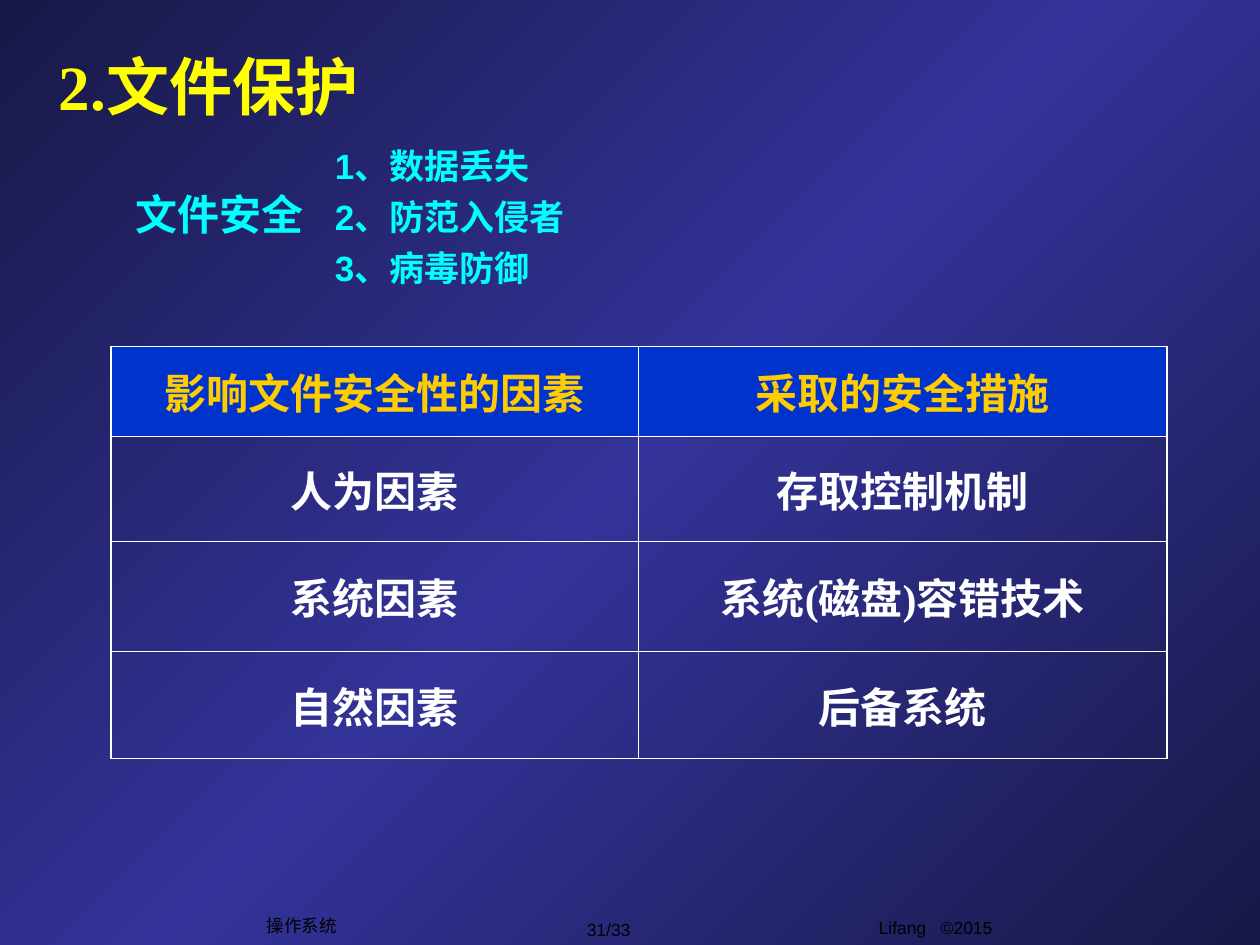
"""Build the file protection slide with a safety list and a measures table."""
import copy

import pptx
import pptx.dml.color
import pptx.enum.text
import pptx.oxml
import pptx.oxml.ns
import pptx.util
from pptx.util import Inches

COLORS = {"navy": "181847", "indigo": "333399", "blue": "0033CC", "gold": "FFCC00",
          "white": "FFFFFF", "yellow": "FFFF00", "cyan": "00FFFF", "black": "000000"}
ALIGN = pptx.enum.text.PP_ALIGN
ANCHOR = pptx.enum.text.MSO_ANCHOR
qn = pptx.oxml.ns.qn


def rgb(name):
    return pptx.dml.color.RGBColor.from_string(COLORS[name])


def add_run(p, text, font, size, color, bold=True):
    r = p.add_run()
    r.text = text
    r.font.name = font
    r.font.size = pptx.util.Pt(size)
    r.font.bold = bold
    r.font.color.rgb = rgb(color)
    ea = pptx.oxml.parse_xml(f'<a:ea {pptx.oxml.ns.nsdecls("a")} typeface="Noto Sans CJK SC"/>')
    r.font._element.find(qn("a:latin")).addnext(ea)


prs = pptx.Presentation()
prs.slide_width, prs.slide_height = Inches(10), Inches(7.5)
s = prs.slides.add_slide(prs.slide_layouts[6])

fill = s.background.fill
fill.gradient()
fill.gradient_angle = 315
stops = s.element.find(".//" + qn("a:gsLst"))
stops.append(copy.deepcopy(stops[0]))
for stop, position, color in zip(fill.gradient_stops, (0, 0.5, 1), ("navy", "indigo", "navy")):
    stop.position = position
    stop.color.rgb = rgb(color)

texts = [
    ((5.84, 7.23, 3.17, 0.35), ["Lifang   ©2015"], "Arial", 10, "black", False, ALIGN.CENTER, ANCHOR.TOP, True),
    ((4.32, 7.24, 1.02, 0.27), ["31/33"], "Arial", 10, "black", False, ALIGN.CENTER, ANCHOR.MIDDLE, False),
    ((2.02, 7.21, 0.75, 0.27), ["操作系统"], "Arial", 10, "black", False, ALIGN.CENTER, ANCHOR.MIDDLE, False),
    ((0.37, 0.33, 8.17, 0.7), ["2.文件保护"], "Times New Roman", 36, "yellow", True, ALIGN.LEFT, ANCHOR.BOTTOM, True),
    ((0.98, 1.45, 4.1, 0.55), ["文件安全"], "Noto Sans CJK SC", 24, "cyan", True, ALIGN.LEFT, ANCHOR.TOP, True),
    ((2.56, 1.1, 3.69, 1.31), ["1、数据丢失", "2、防范入侵者", "3、病毒防御"],
     "Arial", 20, "cyan", True, ALIGN.LEFT, ANCHOR.TOP, True),
]
for box, lines, font, size, color, bold, align, anchor, wrap in texts:
    tf = s.shapes.add_textbox(*map(Inches, box)).text_frame
    tf.word_wrap = wrap
    tf.vertical_anchor = anchor
    for i, line in enumerate(lines):
        p = tf.add_paragraph() if i else tf.paragraphs[0]
        p.alignment = align
        if i:
            p.space_before = pptx.util.Pt(5)
        add_run(p, line, font, size, color, bold)

rows = [("影响文件安全性的因素", "采取的安全措施"), ("人为因素", "存取控制机制"),
        ("系统因素", "系统(磁盘)容错技术"), ("自然因素", "后备系统")]
heights = (0.71, 0.84, 0.87, 0.85)
table = s.shapes.add_table(4, 2, Inches(0.88), Inches(2.75), Inches(8.38), Inches(sum(heights))).table
table.first_row = table.horz_banding = False
for i, (row, height) in enumerate(zip(rows, heights)):
    table.rows[i].height = Inches(height)
    for j, text in enumerate(row):
        cell = table.cell(i, j)
        cell.vertical_anchor = ANCHOR.MIDDLE
        if i == 0:
            cell.fill.solid()
            cell.fill.fore_color.rgb = rgb("blue")
        else:
            cell.fill.background()
        p = cell.text_frame.paragraphs[0]
        p.alignment = ALIGN.CENTER
        add_run(p, text, "Times New Roman", 24, "white" if i else "gold")
        outer = {"L": j == 0, "R": j == 1, "T": i == 0, "B": i == 3}
        for k, (side, is_outer) in enumerate(outer.items()):
            width = pptx.util.Pt(1.08 if is_outer else 0.45)
            cell._tc.get_or_add_tcPr().insert(k, pptx.oxml.parse_xml(
                f'<a:ln{side} {pptx.oxml.ns.nsdecls("a")} w="{width}"><a:solidFill>'
                f'<a:srgbClr val="{COLORS["white"]}"/></a:solidFill></a:ln{side}>'))

prs.save("out.pptx")
